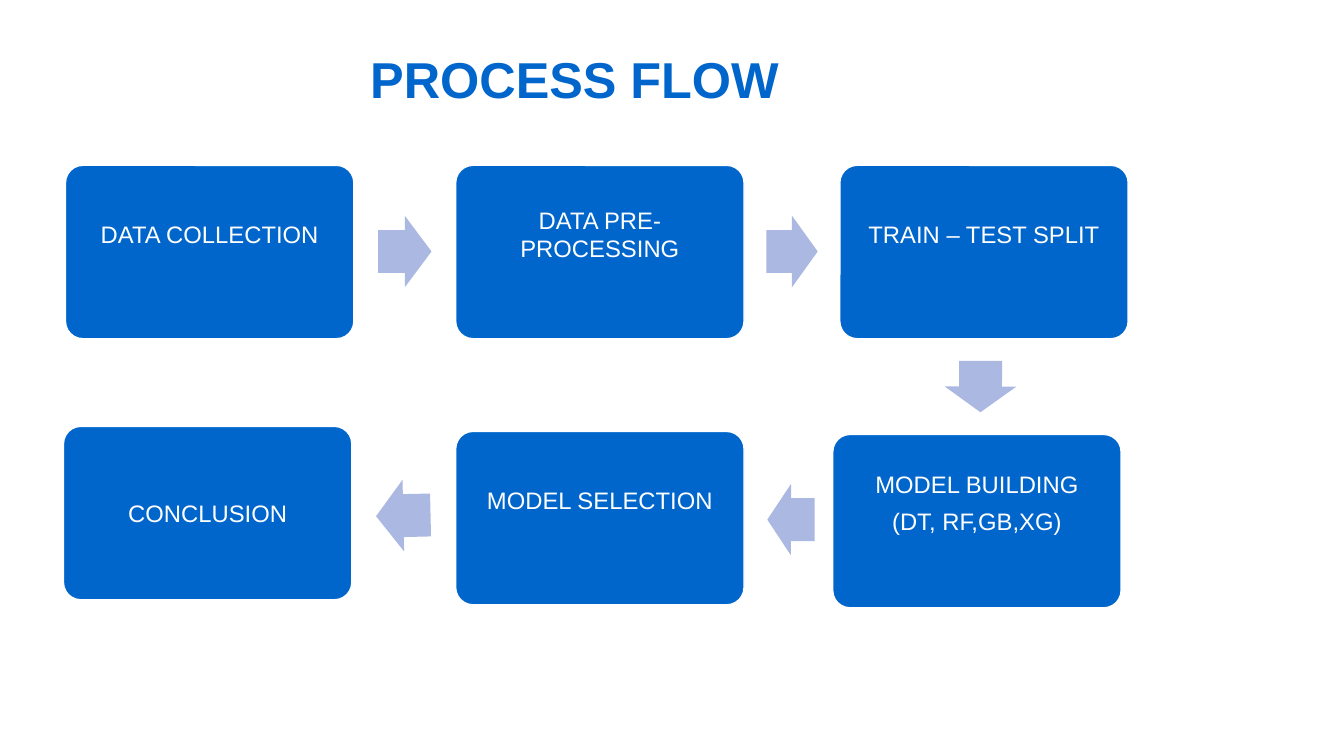
from pptx import Presentation
from pptx import util as u
from pptx.dml.color import RGBColor
from pptx.enum import shapes, text

BLUE, PALE, WHITE = "0066CC", "ABB8E2", "FFFFFF"
BOX_W, BOX_H, ARROW_H = 2.86, 1.72, 0.71
PAD, LIFT = 0.07, 0.36


def color(value):
    """Return the RGB colour for a hex string."""
    return RGBColor.from_string(value)


def write(tf, lines, size=17, fill=WHITE, bold=False, after=0):
    """Fill a text frame with centred paragraphs in one format."""
    tf.word_wrap = True
    tf.vertical_anchor = text.MSO_ANCHOR.MIDDLE
    for i, line in enumerate(lines):
        p = tf.add_paragraph() if i else tf.paragraphs[0]
        p.alignment = text.PP_ALIGN.CENTER
        p.space_before, p.space_after = u.Pt(0), u.Pt(after)
        r = p.add_run()
        r.text = line
        r.font.name, r.font.size, r.font.bold = "Arial", u.Pt(size), bold
        r.font.color.rgb = color(fill)


class FlowSlide:
    """Hold the current slide and draw flow elements in its style."""

    def __init__(self, prs):
        """Add a title-only slide with a white background."""
        self.s = prs.slides.add_slide(prs.slide_layouts[5])
        self.s.background.fill.solid()
        self.s.background.fill.fore_color.rgb = color(WHITE)

    def title(self, line, x, y, w, h):
        """Move and format the title placeholder."""
        sp = self.s.shapes.title
        sp.left, sp.top, sp.width, sp.height = map(u.Inches, (x, y, w, h))
        write(sp.text_frame, [line], size=36, fill=BLUE, bold=True)

    def shape(self, kind, x, y, w, h, fill):
        """Add a filled preset shape without outline or shadow."""
        sp = self.s.shapes.add_shape(kind, *map(u.Inches, (x, y, w, h)))
        sp.shadow.inherit = False
        sp.fill.solid()
        sp.fill.fore_color.rgb = color(fill)
        sp.line.fill.background()
        return sp

    def step(self, lines, x, y, lift=LIFT):
        """Add a rounded step box, its text raised by a bottom inset."""
        sp = self.shape(shapes.MSO_SHAPE.ROUNDED_RECTANGLE, x, y, BOX_W, BOX_H, BLUE)
        sp.adjustments[0] = 0.1
        sp.line.color.rgb = color(WHITE)
        sp.line.width = u.Pt(1)
        tf = sp.text_frame
        tf.margin_left = tf.margin_right = tf.margin_top = u.Inches(PAD)
        tf.margin_bottom = u.Inches(PAD + lift)
        write(tf, lines, after=6)

    def arrow(self, x, y, w, angle=0):
        """Add a block arrow turned by an angle in degrees."""
        sp = self.shape(shapes.MSO_SHAPE.RIGHT_ARROW, x, y, w, ARROW_H, PALE)
        sp.adjustments[0], sp.adjustments[1] = 0.6, 0.5
        sp.rotation = angle


prs = Presentation()
prs.slide_width, prs.slide_height = u.Inches(13.33), u.Inches(7.5)
flow = FlowSlide(prs)
flow.title("PROCESS FLOW", 1, 0.13, 9.4, 1.29)

for lines, x, y in [
    (["DATA COLLECTION"], 0.65, 1.64),
    (["DATA PRE-PROCESSING"], 4.52, 1.64),
    (["TRAIN – TEST SPLIT"], 8.33, 1.64),
    (["MODEL BUILDING", "(DT, RF,GB,XG)"], 8.26, 4.31),
    (["MODEL SELECTION"], 4.52, 4.28),
]:
    flow.step(lines, x, y)
flow.step(["CONCLUSION"], 0.63, 4.23, lift=0)

for x, y, w, angle in [
    (3.75, 2.14, 0.53, 0),
    (7.6, 2.14, 0.51, 0),
    (9.47, 3.48, 0.51, 90.2),
    (7.61, 4.8, 0.47, 180.1),
    (3.73, 4.76, 0.54, 178.7),
]:
    flow.arrow(x, y, w, angle)

prs.save("out.pptx")
